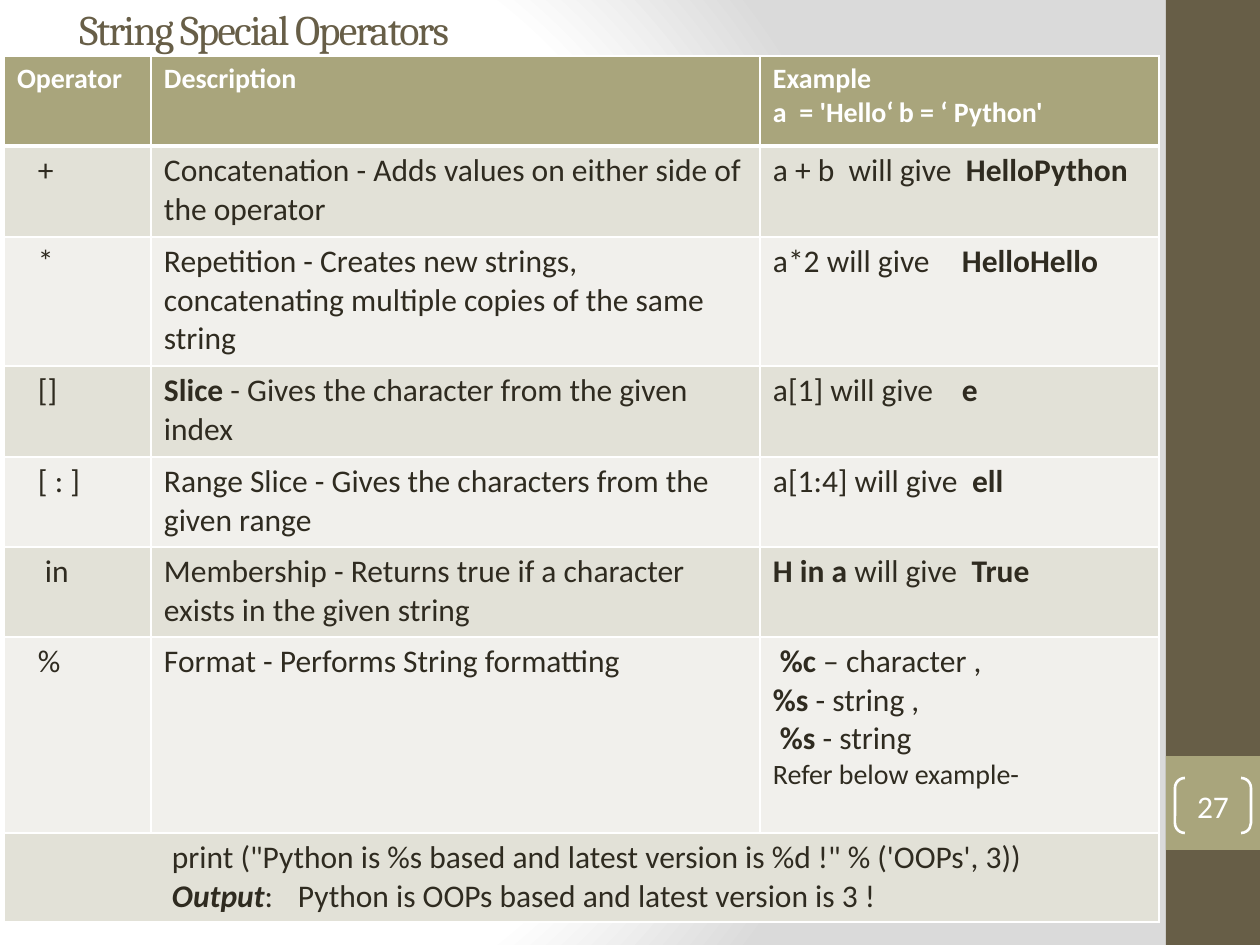
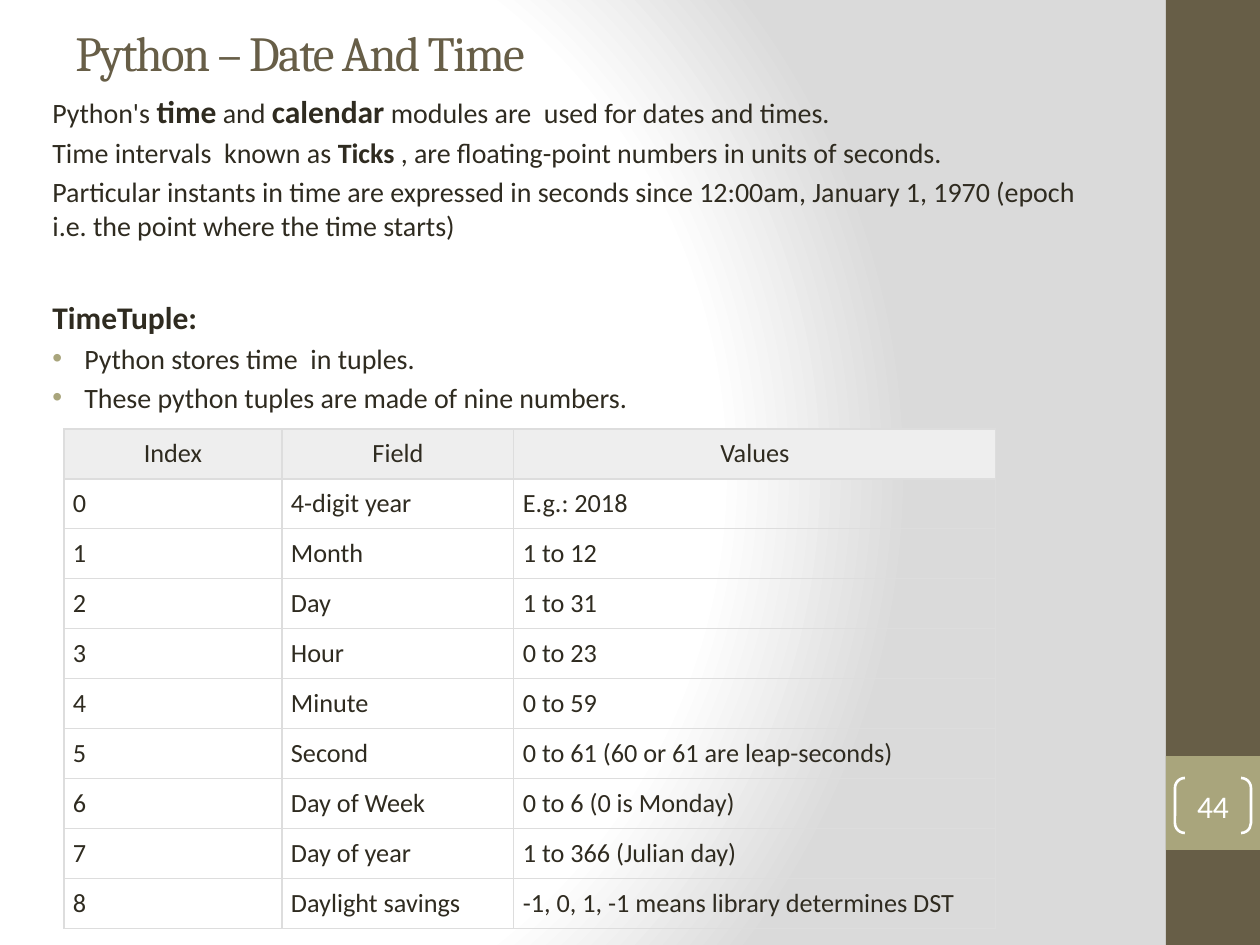
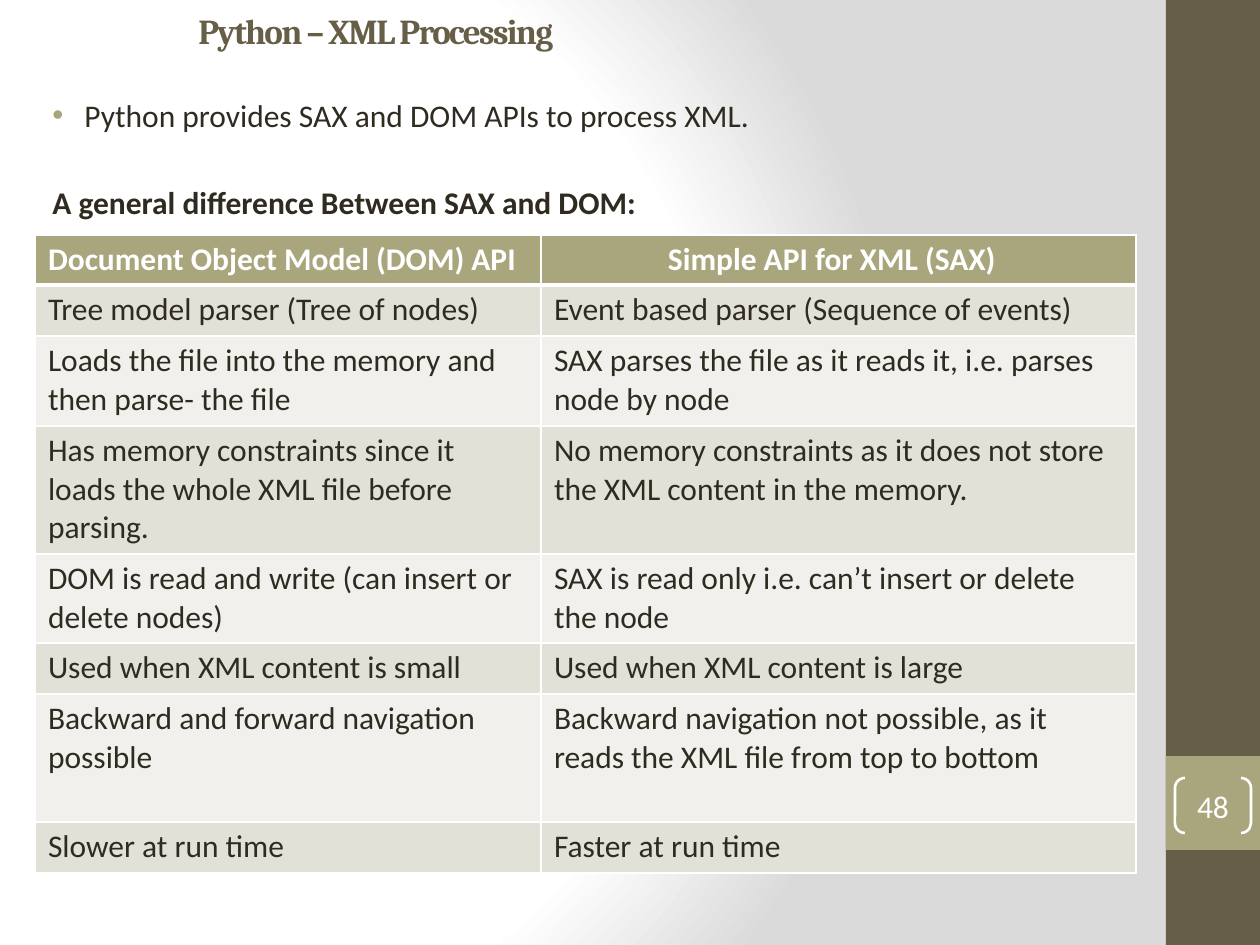
"""Build three slides of a Python course: string operators, date and time, XML."""
from dataclasses import dataclass
from typing import Optional, Union

import pptx
import pptx.dml.color
import pptx.enum.shapes
import pptx.enum.text
import pptx.oxml
import pptx.oxml.ns
import pptx.util
from lxml import etree

EMU_PER_PIXEL = 914400 / 126
SLIDE_WIDTH, SLIDE_HEIGHT = 1260, 945
BAND_LEFT, BAND_WIDTH = 1166, 94
CENTER = pptx.enum.text.PP_ALIGN.CENTER


@dataclass(frozen=True)
class Theme:
    """Colours, fonts and type sizes shared by the slides."""
    heading_font: str = "Cambria"
    body_font: str = "Calibri"
    ink: str = "2F2B20"
    brown: str = "675E47"
    olive: str = "A9A57C"
    white: str = "FFFFFF"
    shade: str = "DADADA"
    bands: tuple[str, str] = ("E2E1D7", "F1F0EC")
    grid: str = "DDDDDD"
    grid_header: str = "EEEEEE"
    large: float = 18
    small: float = 16
    grid_size: float = 15


THEME = Theme()


@dataclass(frozen=True)
class Span:
    """A stretch of text with one format; size None takes the line's size."""
    text: str
    bold: bool = False
    italic: bool = False
    size: Optional[float] = None


@dataclass(frozen=True)
class Line:
    """A paragraph; lengths in pixels, space before in points."""
    spans: tuple[Span, ...]
    size: float = THEME.large
    indent: int = 0
    before: float = 0
    bullet: bool = False
    tab: int = 0


@dataclass(frozen=True)
class Box:
    """A rectangle in pixels."""
    left: int
    top: int
    width: int
    height: int


@dataclass(frozen=True)
class TableStyle:
    """The look of a table."""
    header_fill: str
    header_color: str
    header_bold: bool
    body_fills: tuple[Optional[str], ...]
    border: str
    border_width: float
    header_rule: float
    size: float
    margins: tuple[int, int]
    header_align: Optional[int] = None


BANDED = TableStyle(THEME.olive, THEME.white, True, THEME.bands, THEME.white,
                    1, 3, THEME.large, (13, 6))
GRID = TableStyle(THEME.grid_header, THEME.ink, False, (None,), THEME.grid,
                  0.75, 0.75, THEME.grid_size, (9, 9), CENTER)

Content = Union[str, Line, tuple[Line, ...]]


def px(length: float) -> int:
    """Turn pixels into EMU."""
    return pptx.util.Emu(round(length * EMU_PER_PIXEL))


def rgb(color: str):
    """Turn a hex string into a colour."""
    return pptx.dml.color.RGBColor.from_string(color)


def line(*parts: Union[str, Span], **options) -> Line:
    """Make a line from plain strings and spans."""
    return Line(tuple(Span(part) if isinstance(part, str) else part
                      for part in parts), **options)


def bold(text: str, **options) -> Span:
    """Make a bold span."""
    return Span(text, bold=True, **options)


def add_child(parent, tag: str, **attributes):
    """Append a DrawingML element to its parent."""
    child = etree.SubElement(parent, pptx.oxml.ns.qn(f"a:{tag}"))
    for name, value in attributes.items():
        child.set(name, str(value))
    return child


def write(paragraph, text: str, *, size: float, color: str = THEME.ink,
          font: str = THEME.body_font, bold: bool = False,
          italic: bool = False, tracking: int = 0) -> None:
    """Add a run of text in the given format."""
    run = paragraph.add_run()
    run.text = text
    run.font.size = pptx.util.Pt(size)
    run.font.name = font
    run.font.bold = bold
    run.font.italic = italic
    run.font.color.rgb = rgb(color)
    if tracking:
        run.font._element.set("spc", str(tracking))


def write_lines(frame, content: tuple[Line, ...], *, color: str = THEME.ink,
                align: Optional[int] = None, all_bold: bool = False) -> None:
    """Fill a text frame with lines."""
    for number, entry in enumerate(content):
        paragraph = frame.add_paragraph() if number else frame.paragraphs[0]
        paragraph.alignment = align
        paragraph.space_before = pptx.util.Pt(entry.before)
        properties = paragraph._p.get_or_add_pPr()
        properties.set("marL", str(px(entry.indent)))
        properties.set("indent", str(px(-32 if entry.bullet else 0)))
        if entry.bullet:
            add_child(add_child(properties, "buClr"), "srgbClr", val=THEME.olive)
            add_child(properties, "buFont", typeface="Arial")
            add_child(properties, "buChar", char="•")
        if entry.tab:
            add_child(add_child(properties, "tabLst"), "tab",
                      pos=px(entry.tab), algn="l")
        for span in entry.spans:
            write(paragraph, span.text, size=span.size or entry.size,
                  color=color, bold=span.bold or all_bold, italic=span.italic)


def add_text_box(slide, box: Box):
    """Add a wrapping text box and return its frame."""
    frame = slide.shapes.add_textbox(px(box.left), px(box.top), px(box.width),
                                     px(box.height)).text_frame
    frame.word_wrap = True
    return frame


def add_title(slide, text: str, box: Box, *, size: float, bold: bool = False,
              indent: int = 0) -> None:
    """Add the slide title."""
    frame = add_text_box(slide, box)
    frame.vertical_anchor = pptx.enum.text.MSO_ANCHOR.MIDDLE
    paragraph = frame.paragraphs[0]
    paragraph._p.get_or_add_pPr().set("marL", str(px(indent)))
    write(paragraph, text, size=size, color=THEME.brown,
          font=THEME.heading_font, bold=bold, tracking=-100)


def add_body(slide, box: Box, content: tuple[Line, ...], inset: int = 6) -> None:
    """Add body text, its first line inset from the top of the box."""
    frame = add_text_box(slide, box)
    frame.margin_top = px(inset)
    write_lines(frame, content)


def add_shape(slide, kind, box: Box, fill: Optional[str] = None):
    """Add a preset shape without shadow or outline."""
    shape = slide.shapes.add_shape(kind, px(box.left), px(box.top),
                                   px(box.width), px(box.height))
    shape.shadow.inherit = False
    shape.line.fill.background()
    if fill:
        shape.fill.solid()
        shape.fill.fore_color.rgb = rgb(fill)
    else:
        shape.fill.background()
    return shape


def paint_background(slide) -> None:
    """Give the slide a radial white to grey background."""
    slide.background.fill.solid()
    solid = slide.background._cSld.find(".//" + pptx.oxml.ns.qn("a:solidFill"))
    gradient = etree.Element(pptx.oxml.ns.qn("a:gradFill"), rotWithShape="1")
    stops = add_child(gradient, "gsLst")
    for percent, color in ((0, THEME.white), (75, THEME.white), (100, THEME.shade)):
        stop = add_child(stops, "gs", pos=percent * 1000)
        add_child(stop, "srgbClr", val=color)
    circle = add_child(gradient, "path", path="circle")
    add_child(circle, "fillToRect", l=20000, t=50000, r=100000, b=50000)
    solid.getparent().replace(solid, gradient)


def add_slide(deck, number: int):
    """Add a slide with background, side band and page number."""
    slide = deck.slides.add_slide(deck.slide_layouts[6])
    paint_background(slide)
    kinds = pptx.enum.shapes.MSO_SHAPE
    for top, height, fill in ((0, SLIDE_HEIGHT, THEME.brown), (756, 94, THEME.olive)):
        add_shape(slide, kinds.RECTANGLE,
                  Box(BAND_LEFT, top, BAND_WIDTH, height), fill)
    bracket = add_shape(slide, kinds.DOUBLE_BRACKET, Box(1175, 778, 76, 55))
    bracket.adjustments[0] = 0.18
    bracket.line.color.rgb = rgb(THEME.white)
    bracket.line.width = pptx.util.Pt(1.5)
    frame = bracket.text_frame
    frame.margin_left = frame.margin_right = 0
    frame.margin_top = frame.margin_bottom = 0
    frame.vertical_anchor = pptx.enum.text.MSO_ANCHOR.MIDDLE
    write_lines(frame, (line(str(number)),), color=THEME.white, align=CENTER)
    return slide


def set_borders(cell, color: str, width: float, bottom: float) -> None:
    """Draw the four borders of a cell."""
    properties = cell._tc.get_or_add_tcPr()
    for position, side in enumerate("LRTB"):
        points = bottom if side == "B" else width
        border = add_child(properties, f"ln{side}", w=pptx.util.Pt(points))
        add_child(add_child(border, "solidFill"), "srgbClr", val=color)
        properties.insert(position, border)


def fill_cell(cell, content: Content, style: TableStyle, row: int) -> None:
    """Write and format one table cell."""
    header = row == 0
    if isinstance(content, str):
        content = line(content, size=style.size)
    if isinstance(content, Line):
        content = (content,)
    cell.margin_left = cell.margin_right = px(style.margins[0])
    cell.margin_top = cell.margin_bottom = px(style.margins[1])
    write_lines(cell.text_frame, content,
                color=style.header_color if header else THEME.ink,
                align=style.header_align if header else None,
                all_bold=header and style.header_bold)
    fill = (style.header_fill if header
            else style.body_fills[(row - 1) % len(style.body_fills)])
    if fill:
        cell.fill.solid()
        cell.fill.fore_color.rgb = rgb(fill)
    else:
        cell.fill.background()
    set_borders(cell, style.border, style.border_width,
                style.header_rule if header else style.border_width)


def add_table(slide, left: int, top: int, widths: list[int], heights: list[int],
              rows: list[tuple[Content, ...]], style: TableStyle):
    """Add a table; a row with a single entry spans all columns."""
    table = slide.shapes.add_table(len(heights), len(widths), px(left), px(top),
                                   px(sum(widths)), px(sum(heights))).table
    table.horz_banding = False
    table.first_row = False
    for column, width in zip(table.columns, widths):
        column.width = px(width)
    for number, (height, entries) in enumerate(zip(heights, rows)):
        table.rows[number].height = px(height)
        if len(entries) == 1:
            table.cell(number, 0).merge(table.cell(number, len(widths) - 1))
        for column, content in enumerate(entries):
            fill_cell(table.cell(number, column), content, style, number)
    return table


def build_operators(deck) -> None:
    """Build the slide on string operators."""
    slide = add_slide(deck, 27)
    add_title(slide, "String Special Operators", Box(67, 9, 1134, 39), size=24)

    def operator(sign: str, indent: int = 21) -> Line:
        """Indent an operator sign."""
        return line(sign, indent=indent)

    small = THEME.small
    rows = [
        (line("Operator", size=small), line("Description", size=small),
         (line("Example", size=small),
          line("a  = 'Hello‘\tb = ‘ Python'", size=small, tab=146))),
        (operator("+"),
         "Concatenation - Adds values on either side of the operator",
         line("a + b  will give  ", bold("HelloPython"))),
        (operator("*"),
         "Repetition - Creates new strings, concatenating multiple copies "
         "of the same string",
         line("a*2 will give\t", bold("HelloHello"), tab=178)),
        (operator("[]"),
         line(bold("Slice"), " - Gives the character from the given index"),
         line("a[1] will give\t", bold("e"), tab=189)),
        (operator("[ : ]"),
         "Range Slice - Gives the characters from the given range",
         line("a[1:4] will give  ", bold("ell"))),
        (operator("in", 28),
         "Membership - Returns true if a character exists in the given string",
         line(bold("H in a "), "will give  ", bold("True"))),
        (operator("%"), "Format - Performs String formatting",
         (line(bold("%c"), " – character ,", indent=7),
          line(bold("%s"), " - string ,"),
          line(bold("%s"), " - string", indent=7),
          line("Refer below example-", size=small))),
        ((line("print (\"Python is %s based and latest version is %d !\" "
               "% ('OOPs', 3))"),
          line(bold("Output", italic=True),
               ":\tPython is OOPs based and latest version is 3 !", tab=130)),),
    ]
    table = add_table(slide, 4, 56, [147, 609, 399],
                      [90, 91, 129, 91, 90, 90, 196, 89], rows, BANDED)
    table.cell(len(rows) - 1, 0).margin_left = px(168)


def build_date_time(deck) -> None:
    """Build the slide on date and time."""
    slide = add_slide(deck, 44)
    add_title(slide, "Python – Date And Time", Box(63, 38, 1050, 28), size=28)
    small, large = THEME.small, THEME.large
    plain = {"size": small, "indent": 15, "before": 3.2}
    bulleted = {"size": small, "indent": 47, "before": 3.2, "bullet": True}
    add_body(slide, Box(25, 86, 1089, 833), (
        line("Python's ", bold("time", size=large), " and ",
             bold("calendar", size=large),
             " modules are  used for dates and times.", size=small, indent=15),
        line("Time intervals  known as ", bold("Ticks"),
             " , are floating-point numbers in units of seconds.", **plain),
        line("Particular instants in time are expressed in seconds since "
             "12:00am, January 1, 1970 (epoch i.e. the point where the time "
             "starts)", **plain),
        line(bold("TimeTuple:"), indent=15, before=32),
        line("Python stores time\u00a0 in tuples.", **bulleted),
        line("These python tuples are made of nine numbers.", **bulleted),
    ))
    fields = [
        ("4-digit year", "E.g.: 2018"),
        ("Month", "1 to 12"),
        ("Day", "1 to 31"),
        ("Hour", "0 to 23"),
        ("Minute", "0 to 59"),
        ("Second", "0 to 61 (60 or 61 are leap-seconds)"),
        ("Day of Week", "0 to 6 (0 is Monday)"),
        ("Day of year", "1 to 366 (Julian day)"),
        ("Daylight savings", "-1, 0, 1, -1 means library determines DST"),
    ]
    rows = [("Index", "Field", "Values")]
    rows += [(str(index), *field) for index, field in enumerate(fields)]
    add_table(slide, 64, 429, [218, 232, 482], [50] * len(rows), rows, GRID)


def build_xml(deck) -> None:
    """Build the slide on XML processing."""
    slide = add_slide(deck, 48)
    add_body(slide, Box(25, 45, 1142, 900), (
        line("Python provides SAX and DOM APIs to process XML.",
             indent=47, bullet=True),
        line(bold("A general difference Between SAX and DOM:"),
             indent=15, before=28.4),
    ), inset=51)
    add_title(slide, "Python – XML Processing", Box(54, 16, 1050, 28),
              size=20, bold=True, indent=132)
    rows = [
        ("Document Object Model (DOM) API",
         line("Simple API for XML (SAX)", indent=114)),
        ("Tree model parser (Tree of nodes)",
         "Event based parser (Sequence of events)"),
        ("Loads the file into the memory and then parse- the file",
         "SAX parses the file as it reads it, i.e. parses node by node"),
        ("Has memory constraints since it loads the whole XML file before parsing.",
         "No memory constraints as it does not store the XML content in the memory."),
        ("DOM is read and write (can insert or delete nodes)",
         "SAX is read only i.e. can’t insert or delete the node"),
        ("Used when XML content is small", "Used when XML content is large"),
        ("Backward and forward navigation possible",
         "Backward navigation not possible, as it reads the XML file from top "
         "to bottom"),
        ("Slower at run time", "Faster at run time"),
    ]
    add_table(slide, 35, 235, [506, 595], [50, 51, 90, 128, 89, 51, 128, 51],
              rows, BANDED)


def main() -> None:
    """Build and save the presentation."""
    deck = pptx.Presentation()
    deck.slide_width, deck.slide_height = px(SLIDE_WIDTH), px(SLIDE_HEIGHT)
    build_operators(deck)
    build_date_time(deck)
    build_xml(deck)
    deck.save("out.pptx")


main()
